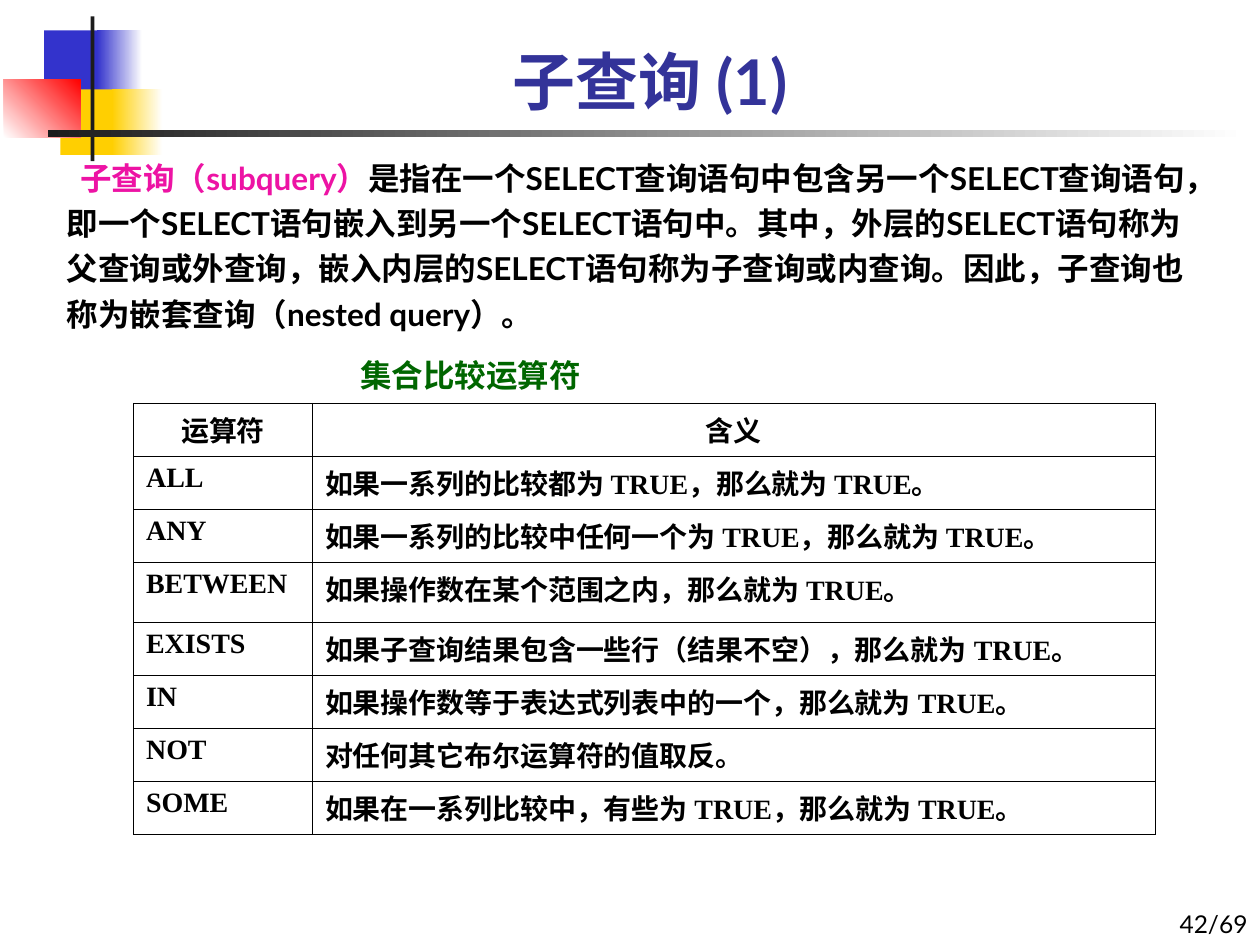
from typing import NamedTuple

from lxml.etree import SubElement
from pptx import Presentation
from pptx.dml.color import RGBColor
from pptx.enum.shapes import MSO_SHAPE
from pptx.enum.text import MSO_ANCHOR, PP_ALIGN
from pptx.oxml.ns import qn
from pptx.util import Inches, Pt

BLACK, WHITE = "000000", "FFFFFF"
BLUE, YELLOW, RED, DARK = "3333CC", "FFCF01", "FF0000", "1C1C1C"
TITLE, PINK, GREEN = "333399", "ED13A4", "006600"
SANS, SERIF = "Lato", "Times New Roman"


class Block(NamedTuple):
    left: float
    top: float
    width: float
    height: float
    start: str
    end: str = ""  # empty for a solid fill
    angle: float = 0


DECORATION = [
    Block(0.35, 0.24, 0.48, 0.52, BLUE),
    Block(0.77, 0.24, 0.36, 0.52, BLUE, WHITE),
    Block(0.48, 0.71, 0.46, 0.52, YELLOW),
    Block(0.89, 0.71, 0.40, 0.52, YELLOW, WHITE),
    Block(0.03, 0.63, 0.61, 0.46, WHITE, RED, 45),
    Block(0.72, 0.13, 0.03, 1.15, DARK),
    Block(0.38, 1.03, 9.51, 0.06, DARK, WHITE),
]

TERM = "子查询（subquery）"
DEFINITION = (
    "是指在一个SELECT查询语句中包含另一个SELECT查询语句，即一个SELECT语句嵌入到另一个"
    "SELECT语句中。其中，外层的SELECT语句称为父查询或外查询，嵌入内层的SELECT语句称为"
    "子查询或内查询。因此，子查询也称为嵌套查询（nested query）。"
)
OPERATORS = [
    ("运算符", "含义"),
    ("ALL", "如果一系列的比较都为 TRUE，那么就为 TRUE。"),
    ("ANY", "如果一系列的比较中任何一个为 TRUE，那么就为 TRUE。"),
    ("BETWEEN", "如果操作数在某个范围之内，那么就为 TRUE。"),
    ("EXISTS", "如果子查询结果包含一些行（结果不空），那么就为 TRUE。"),
    ("IN", "如果操作数等于表达式列表中的一个，那么就为 TRUE。"),
    ("NOT", "对任何其它布尔运算符的值取反。"),
    ("SOME", "如果在一系列比较中，有些为 TRUE，那么就为 TRUE。"),
]
COLUMN_WIDTHS = (1.42, 6.69)
ROW_HEIGHTS = (0.42, 0.42, 0.42, 0.48, 0.42, 0.42, 0.42, 0.42)


def rgb(value: str) -> RGBColor:
    return RGBColor.from_string(value)


def set_font(font, name: str, size: float, color: str, bold: bool = True) -> None:
    font.name, font.size, font.bold = name, Pt(size), bold
    font.color.rgb = rgb(color)


def add_block(slide, block: Block) -> None:
    box = (Inches(v) for v in block[:4])
    sp = slide.shapes.add_shape(MSO_SHAPE.RECTANGLE, *box)
    sp.shadow.inherit = False
    sp.line.fill.background()
    if not block.end:
        sp.fill.solid()
        sp.fill.fore_color.rgb = rgb(block.start)
        return
    sp.fill.gradient()
    sp.fill.gradient_angle = block.angle
    for stop, color in zip(sp.fill.gradient_stops, (block.start, block.end)):
        stop.color.rgb = rgb(color)


def add_text_box(slide, left: float, top: float, width: float, height: float,
                 anchor=MSO_ANCHOR.TOP):
    sp = slide.shapes.add_textbox(Inches(left), Inches(top), Inches(width), Inches(height))
    tf = sp.text_frame
    tf.word_wrap = True
    tf.vertical_anchor = anchor
    return tf


def add_line(slide, box: tuple, text: str, align, size: float, color: str, bold: bool) -> None:
    """Add a bottom-anchored text box with one paragraph."""
    p = add_text_box(slide, *box, anchor=MSO_ANCHOR.BOTTOM).paragraphs[0]
    p.text, p.alignment = text, align
    set_font(p.font, SANS, size, color, bold)


def add_body(slide) -> None:
    tf = add_text_box(slide, 0.43, 1.15, 9.21, 5.2)
    intro, caption = tf.paragraphs[0], tf.add_paragraph()
    for p, color in ((intro, BLACK), (caption, GREEN)):
        p.line_spacing = 1.2
        set_font(p.font, SANS, 18, color)
    intro._p.get_or_add_pPr().set("indent", str(Inches(0.11)))
    r = intro.add_run()
    r.text = TERM
    r.font.color.rgb = rgb(PINK)
    intro.add_run().text = DEFINITION
    caption.text = "集合比较运算符"
    caption.space_before = Pt(9)
    caption._p.get_or_add_pPr().set("marL", str(Inches(2.33)))


def set_borders(cell, color: str, width: float) -> None:
    tcPr = cell._tc.get_or_add_tcPr()
    for side in ("a:lnL", "a:lnR", "a:lnT", "a:lnB"):
        ln = SubElement(tcPr, qn(side), w=str(Pt(width)))
        fill = SubElement(ln, qn("a:solidFill"))
        SubElement(fill, qn("a:srgbClr"), val=color)


def add_operator_table(slide) -> None:
    frame = slide.shapes.add_table(
        len(OPERATORS), len(COLUMN_WIDTHS), Inches(1.06), Inches(3.2),
        Inches(sum(COLUMN_WIDTHS)), Inches(sum(ROW_HEIGHTS)))
    table = frame.table
    table.first_row = table.horz_banding = False
    for column, width in zip(table.columns, COLUMN_WIDTHS):
        column.width = Inches(width)
    for i, (row, texts) in enumerate(zip(table.rows, OPERATORS)):
        row.height = Inches(ROW_HEIGHTS[i])
        for cell, text in zip(row.cells, texts):
            set_borders(cell, BLACK, 0.34)
            cell.fill.background()
            p = cell.text_frame.paragraphs[0]
            p.text = text
            p.alignment = PP_ALIGN.LEFT if i else PP_ALIGN.CENTER
            set_font(p.font, SERIF, 16, BLACK)


def main() -> None:
    prs = Presentation()
    prs.slide_width, prs.slide_height = Inches(10), Inches(7.5)
    slide = prs.slides.add_slide(prs.slide_layouts[6])
    for block in DECORATION:
        add_block(slide, block)
    add_line(slide, (7.92, 7, 2.08, 0.5), "42/69", PP_ALIGN.RIGHT, 14, BLACK, False)
    add_line(slide, (0.9, 0.12, 8.52, 0.87), "子查询 (1)", PP_ALIGN.CENTER, 36, TITLE, True)
    add_body(slide)
    add_operator_table(slide)
    prs.save("out.pptx")


if __name__ == "__main__":
    main()
